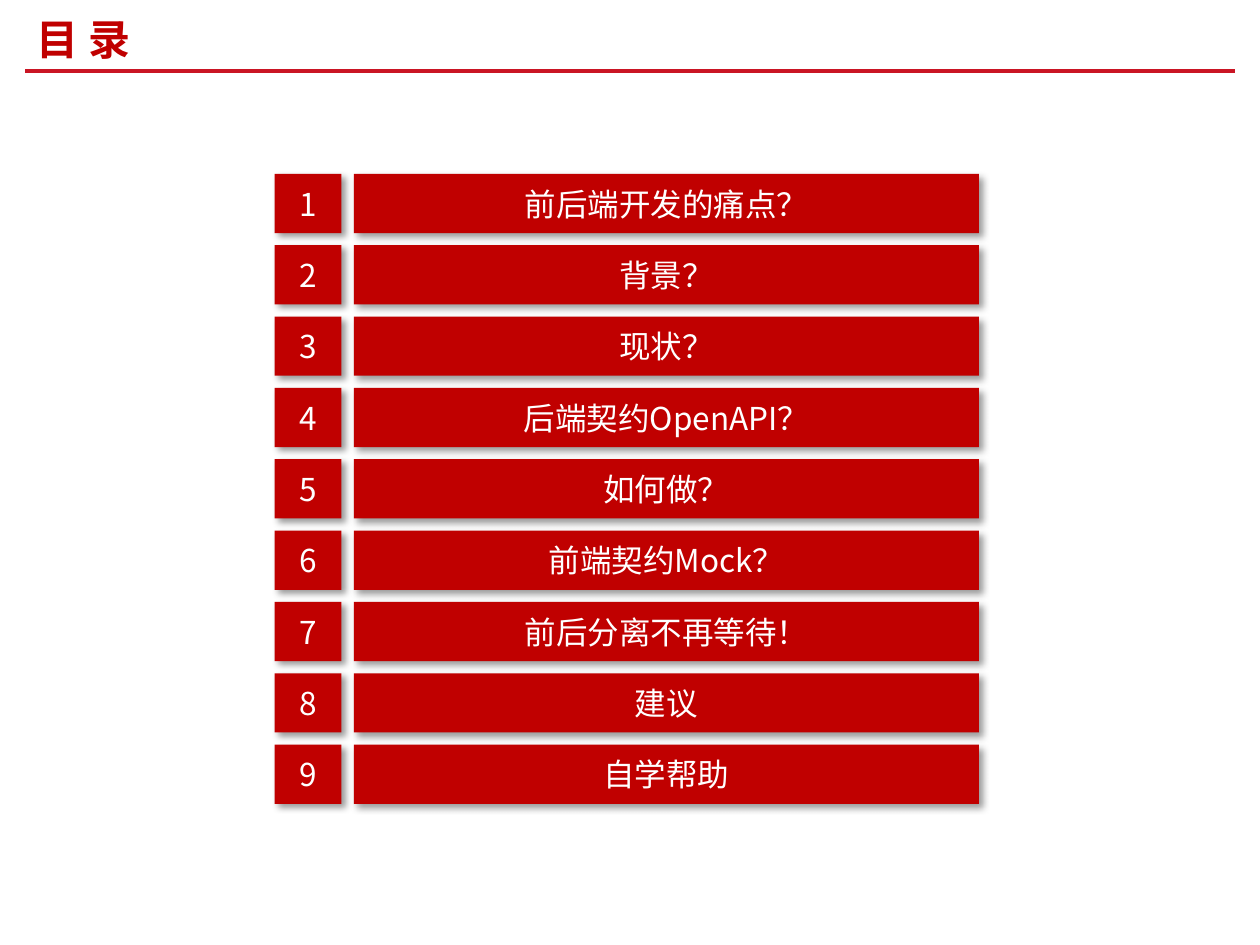
from dataclasses import dataclass

from lxml.etree import SubElement
from pptx import Presentation
from pptx.dml.color import RGBColor
from pptx.enum.shapes import MSO_CONNECTOR, MSO_SHAPE
from pptx.enum.text import MSO_ANCHOR, MSO_AUTO_SIZE, PP_ALIGN
from pptx.oxml.ns import qn
from pptx.util import Inches, Pt


@dataclass(frozen=True)
class Theme:
    font: str = "Noto Sans CJK SC"
    red: str = "C00000"
    rule: str = "CA1524"
    white: str = "FFFFFF"
    shadow: str = "000000"
    title_size: int = 24
    item_size: int = 18


THEME = Theme()
TOPICS = [
    "前后端开发的痛点？",
    "背景？",
    "现状？",
    "后端契约OpenAPI？",
    "如何做？",
    "前端契约Mock？",
    "前后分离不再等待！",
    "建议",
    "自学帮助",
]
FIRST_TOP, LAST_TOP = 1.38, 5.91
ROW_HEIGHT = 0.47
NUMBER_LEFT, NUMBER_WIDTH = 2.18, 0.53
TOPIC_LEFT, TOPIC_WIDTH = 2.81, 4.96


def write_text(box, text, size, color, bold=False, align=PP_ALIGN.LEFT):
    frame = box.text_frame
    frame.word_wrap = True
    frame.auto_size = MSO_AUTO_SIZE.NONE
    frame.vertical_anchor = MSO_ANCHOR.MIDDLE
    para = frame.paragraphs[0]
    para.alignment = align
    span = para.add_run()
    span.text = text
    span.font.name = THEME.font
    span.font.size = Pt(size)
    span.font.bold = bold
    span.font.color.rgb = RGBColor.from_string(color)
    east_asian = SubElement(span.font._element, qn("a:ea"))
    east_asian.set("typeface", THEME.font)


def add_shadow(box):
    box.shadow.inherit = False
    effects = box._element.spPr.find(qn("a:effectLst"))
    shadow = SubElement(effects, qn("a:outerShdw"), blurRad=str(Pt(4)),
                        dist=str(Pt(3)), dir=str(45 * 60000),
                        algn="tl", rotWithShape="0")
    color = SubElement(shadow, qn("a:srgbClr"), val=THEME.shadow)
    SubElement(color, qn("a:alpha"), val="40000")


def add_tile(page, text, left, top, width):
    box = page.shapes.add_shape(MSO_SHAPE.RECTANGLE, Inches(left), Inches(top),
                                Inches(width), Inches(ROW_HEIGHT))
    box.fill.solid()
    box.fill.fore_color.rgb = RGBColor.from_string(THEME.red)
    box.line.fill.background()
    add_shadow(box)
    write_text(box, text, THEME.item_size, THEME.white, align=PP_ALIGN.CENTER)


def add_title(page, text):
    title = page.shapes.title
    title.left, title.top = Inches(0.12), Inches(0.05)
    title.width, title.height = Inches(6.02), Inches(0.51)
    title.text_frame.margin_left = Inches(0.17)
    write_text(title, text, THEME.title_size, THEME.red, bold=True)


def add_rule(page):
    rule = page.shapes.add_connector(MSO_CONNECTOR.STRAIGHT, Inches(0.2),
                                     Inches(0.56), Inches(9.8), Inches(0.56))
    rule.line.color.rgb = RGBColor.from_string(THEME.rule)
    rule.line.width = Pt(2.25)
    SubElement(rule._element.spPr, qn("a:effectLst"))


def add_agenda(page, topics):
    pitch = (LAST_TOP - FIRST_TOP) / (len(topics) - 1)
    for index, topic in enumerate(topics):
        top = FIRST_TOP + index * pitch
        add_tile(page, str(index + 1), NUMBER_LEFT, top, NUMBER_WIDTH)
        add_tile(page, topic, TOPIC_LEFT, top, TOPIC_WIDTH)


def main():
    """Build the table of contents slide and save it."""
    deck = Presentation()
    deck.slide_width, deck.slide_height = Inches(10), Inches(7.5)
    page = deck.slides.add_slide(deck.slide_layouts[5])
    add_title(page, "目 录")
    add_rule(page)
    add_agenda(page, TOPICS)
    deck.save("out.pptx")


main()
